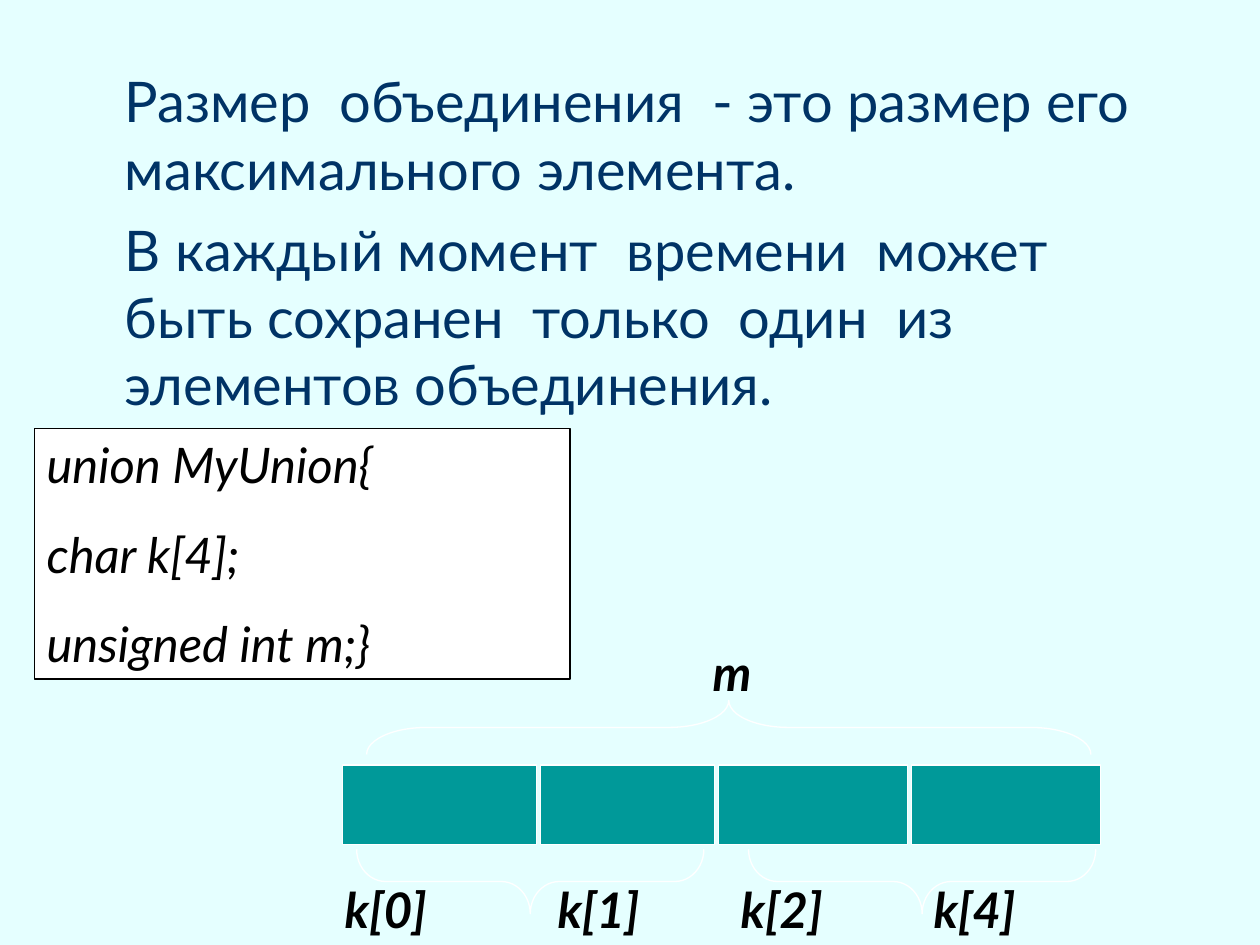
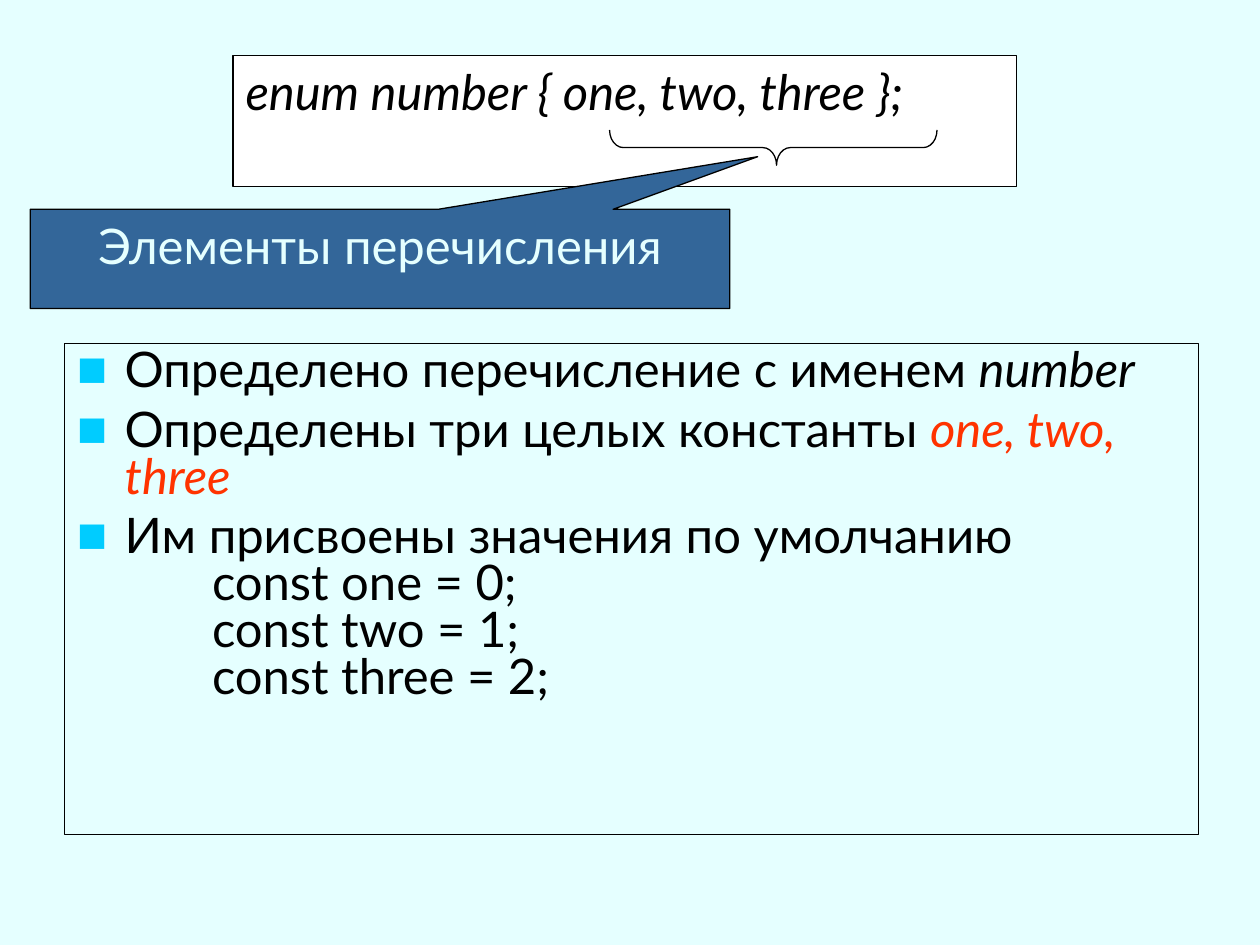
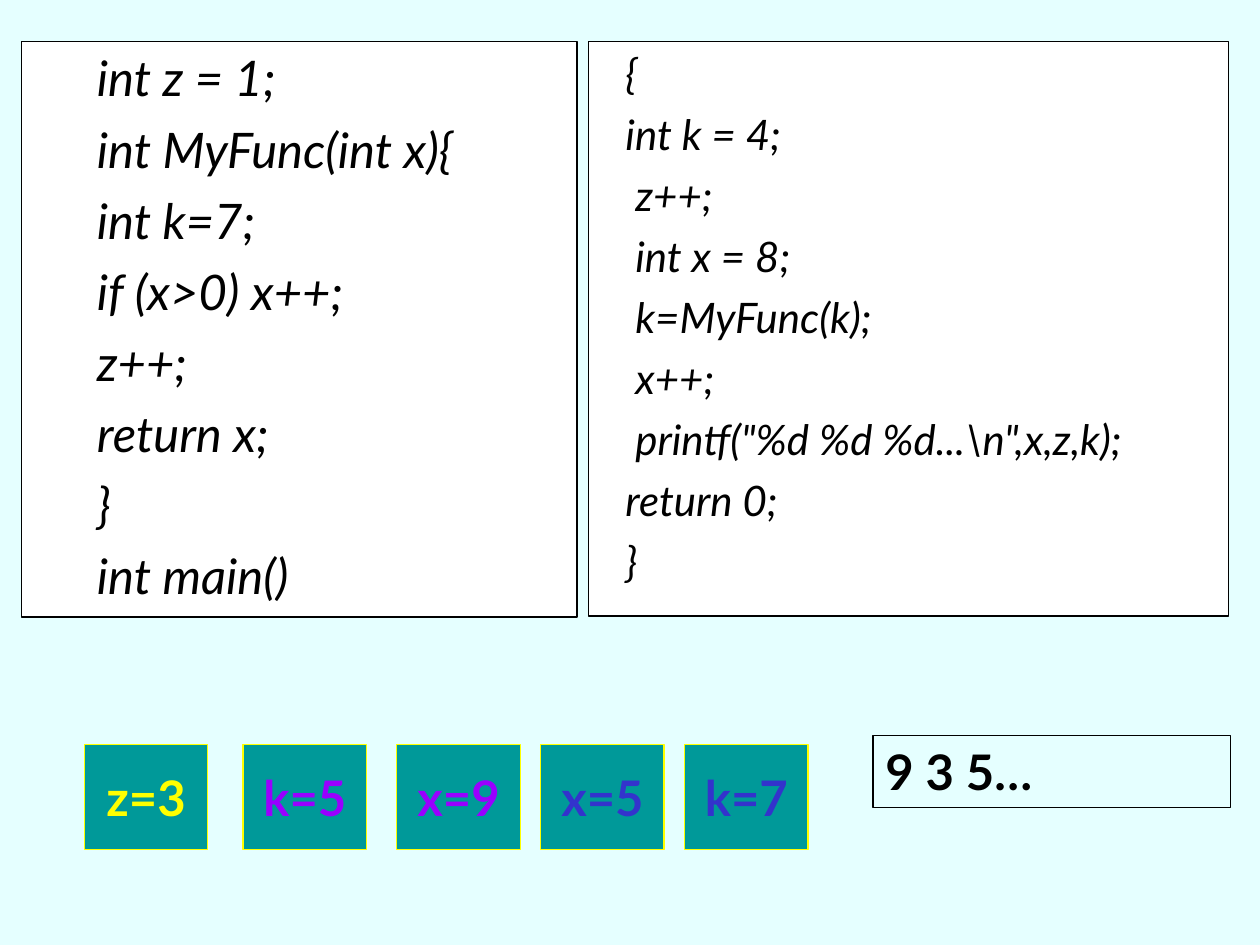
from collections import namedtuple

from pptx import Presentation
from pptx.dml.color import RGBColor
from pptx.enum.shapes import MSO_SHAPE
from pptx.enum.text import MSO_ANCHOR, MSO_AUTO_SIZE, PP_ALIGN
from pptx.oxml.xmlchemy import OxmlElement
from pptx.util import Cm, Pt

RECT = MSO_SHAPE.RECTANGLE
CALLOUT = MSO_SHAPE.RECTANGULAR_CALLOUT
BRACE = MSO_SHAPE.LEFT_BRACE
LEFT, CENTER = PP_ALIGN.LEFT, PP_ALIGN.CENTER
TOP, MIDDLE = MSO_ANCHOR.TOP, MSO_ANCHOR.MIDDLE
NO_AUTOFIT = MSO_AUTO_SIZE.NONE

PALE = RGBColor(0xE5, 0xFF, 0xFF)
NAVY = RGBColor(0x00, 0x33, 0x66)
STEEL = RGBColor(0x33, 0x66, 0x99)
TEAL = RGBColor(0x00, 0x99, 0x99)
CYAN = RGBColor(0x00, 0xCC, 0xFF)
RED = RGBColor(0xFF, 0x33, 0x00)
YELLOW = RGBColor(0xFF, 0xFF, 0x00)
VIOLET = RGBColor(0x99, 0x00, 0xFF)
BLUE = RGBColor(0x33, 0x33, 0xCC)
BLACK = RGBColor(0, 0, 0)
WHITE = RGBColor(0xFF, 0xFF, 0xFF)

FONT = "Lato"
LINE_WIDTH = Pt(0.75)
LABEL_HEIGHT = 1.45

# All boxes are in centimetres.
Box = namedtuple("Box", "left top width height")
Style = namedtuple("Style", "size color bold italic", defaults=(28, BLACK, False, False))

PLAIN = Style()
CODE = Style(italic=True)
LABEL = Style(bold=True, italic=True)


def lengths(box):
    return [Cm(value) for value in box]


def add_run(p, text, style):
    r = p.add_run()
    r.text = text
    r.font.name = FONT
    r.font.size = Pt(style.size)
    r.font.color.rgb = style.color
    r.font.bold = style.bold
    r.font.italic = style.italic


def set_bullet(p, color):
    """Give the paragraph a square bullet, or none when color is None."""
    pPr = p._p.get_or_add_pPr()
    if color is None:
        pPr.append(OxmlElement("a:buNone"))
        return
    parts = (("a:buSzPct", "val", "65000"), ("a:buFont", "typeface", FONT),
             ("a:buChar", "char", "■"))
    clr = OxmlElement("a:buClr")
    rgb = OxmlElement("a:srgbClr")
    rgb.set("val", str(color))
    clr.append(rgb)
    pPr.append(clr)
    for tag, name, value in parts:
        element = OxmlElement(tag)
        element.set(name, value)
        pPr.append(element)


def set_indent(p, margin, first=0):
    pPr = p._p.get_or_add_pPr()
    pPr.set("marL", str(Cm(margin)))
    pPr.set("indent", str(Cm(first)))


def next_paragraph(tf, before):
    """Return the empty first paragraph, or a new one spaced from the last."""
    p = tf.paragraphs[0]
    if p.runs:
        p = tf.add_paragraph()
        p.space_before = Pt(before)
    else:
        p.space_before = Pt(0)
    return p


def write_lines(tf, lines, style, before=0, align=LEFT, margin=0):
    for line in lines:
        p = next_paragraph(tf, before)
        p.alignment = align
        set_indent(p, margin)
        set_bullet(p, None)
        add_run(p, line, style)


def paint(sp, fill, line):
    if fill is None:
        sp.fill.background()
    else:
        sp.fill.solid()
        sp.fill.fore_color.rgb = fill
    sp.line.color.rgb = line
    sp.line.width = LINE_WIDTH


def add_panel(slide, box, fill, line, shape=RECT, anchor=TOP):
    sp = slide.shapes.add_shape(shape, *lengths(box))
    sp.shadow.inherit = False
    paint(sp, fill, line)
    sp.text_frame.word_wrap = True
    sp.text_frame.vertical_anchor = anchor
    return sp


def add_label(slide, box, text, align=LEFT):
    tf = slide.shapes.add_textbox(*lengths(box)).text_frame
    tf.word_wrap = True
    write_lines(tf, [text], LABEL, align=align)


def add_brace(slide, box, line, curve, up=False, tip=0.5):
    """Lay a horizontal brace in box, its tip up or down."""
    x = box.left + (box.width - box.height) / 2
    y = box.top + (box.height - box.width) / 2
    sp = add_panel(slide, Box(x, y, box.height, box.width), None, line, BRACE)
    sp.rotation = 90 if up else 270
    sp.adjustments[0] = curve
    sp.adjustments[1] = tip


def add_body_slide(prs, box):
    """Add a slide with only a body placeholder; return slide and body."""
    slide = prs.slides.add_slide(prs.slide_layouts[1])
    title = slide.shapes.title._element
    title.getparent().remove(title)
    body = slide.placeholders[1]
    body.left, body.top, body.width, body.height = lengths(box)
    body.text_frame.auto_size = NO_AUTOFIT
    body.text_frame.vertical_anchor = TOP
    return slide, body


def memory_diagram(slide, box):
    """Draw the bytes shared by m and k, with braces and labels."""
    x, y = box.left, box.top
    add_brace(slide, Box(x + 0.49, y + 1.29, 14.6, 1.09), WHITE, 1.11, up=True)
    for offset in (0.29, 8.19):
        add_brace(slide, Box(x + offset, y + 4.29, 7, 1.3), WHITE, 0.45)
    add_label(slide, Box(x + 6.41, y, 2.9, LABEL_HEIGHT), "m", CENTER)
    cells = (("k[0]", 3.91, -0.2), ("k[1]", 3.51, 0.1),
             ("k[2]", 3.81, 0.2), ("k[4]", 3.81, 0.2))
    for name, width, shift in cells:
        add_panel(slide, Box(x, y + 2.59, width, 1.6), TEAL, WHITE)
        add_label(slide, Box(x + shift, y + box.height - LABEL_HEIGHT,
                             3.5, LABEL_HEIGHT), name)
        x += width + 0.08


def union_slide(prs):
    slide, body = add_body_slide(prs, Box(1.3, 1.22, 22.86, 15.7))
    write_lines(body.text_frame, [
        "Размер  объединения  - это размер его максимального элемента.",
        "В каждый момент  времени  может  быть сохранен  только  один  из "
        "элементов объединения.",
    ], Style(32, NAVY), before=8, margin=0.96)
    code = add_panel(slide, Box(0.69, 8.64, 10.8, 5.05), WHITE, BLACK)
    write_lines(code.text_frame, ["union MyUnion{", "char k[4];", "unsigned int m;}"],
                CODE, before=17.5)
    memory_diagram(slide, Box(6.9, 12.83, 15.3, 6.22))


def enum_list(body):
    paint(body, None, BLACK)
    tf = body.text_frame
    items = (
        [("Определено перечисление с именем ", PLAIN), ("number", CODE)],
        [("Определены три целых константы ", PLAIN),
         ("one, two, three", CODE._replace(color=RED))],
        [("Им присвоены значения по умолчанию", PLAIN)],
    )
    for item in items:
        p = next_paragraph(tf, 7)
        set_indent(p, 0.96, -0.96)
        set_bullet(p, CYAN)
        for text, style in item:
            add_run(p, text, style)
    write_lines(tf, ["const one = 0;", "const two = 1;", "const three = 2;"],
                PLAIN, margin=2.72)
    for p in tf.paragraphs:
        p.line_spacing = 0.8


def enum_declaration(slide, box):
    """Show the declaration, its brace and the callout below."""
    x, y = box.left, box.top
    code = add_panel(slide, box, WHITE, BLACK)
    write_lines(code.text_frame, ["enum number { one, two, three };"], CODE)
    callout = add_panel(slide, Box(x - 4.09, y + 3.1, 14.1, 2), STEEL, BLACK, CALLOUT)
    callout.adjustments[0] = 0.54
    callout.adjustments[1] = -1.03
    write_lines(callout.text_frame, ["Элементы перечисления"],
                Style(color=PALE), align=CENTER)
    add_brace(slide, Box(x + 7.59, y + 1.5, 6.6, 0.71), BLACK, 0.39, tip=0.51)


def enum_slide(prs):
    slide, body = add_body_slide(prs, Box(1.3, 6.93, 22.86, 9.9))
    enum_list(body)
    enum_declaration(slide, Box(4.7, 1.12, 15.8, 2.64))


def variable_cells(slide, box):
    """Place one square per variable, coloured by its scope."""
    cells = ((0, "z=3", YELLOW), (3.2, "k=5", VIOLET), (6.3, "x=9", VIOLET),
             (9.2, "x=5", BLUE), (12.1, "k=7", BLUE))
    for offset, text, color in cells:
        cell = add_panel(slide, Box(box.left + offset, box.top, 2.49, box.height),
                         TEAL, YELLOW, anchor=MIDDLE)
        cell.text_frame.word_wrap = False
        write_lines(cell.text_frame, [text], Style(color=color, bold=True), align=CENTER)


def scope_slide(prs):
    slide, body = add_body_slide(prs, Box(0.43, 0.84, 11.2, 11.6))
    paint(body, WHITE, BLACK)
    write_lines(body.text_frame, [
        "int z = 1;", "int MyFunc(int x){", "int k=7;", "if (x>0) x++;",
        "z++;", "return x;", "}", "int main()",
    ], CODE, before=7, margin=1.27)
    main_code = add_panel(slide, Box(11.86, 0.84, 12.9, 11.58), WHITE, BLACK)
    write_lines(main_code.text_frame, [
        "{", "int k = 4;", " z++;", " int x = 8;", " k=MyFunc(k);", " x++;",
        ' printf("%d %d %d...\\n",x,z,k);', "return 0;", "}",
    ], CODE._replace(size=24), before=6, margin=0.5)
    variable_cells(slide, Box(1.7, 15.01, 14.59, 2.11))
    output = add_panel(slide, Box(17.6, 14.83, 7.21, LABEL_HEIGHT), PALE, BLACK)
    write_lines(output.text_frame, ["9 3 5…"], Style(bold=True))


def main():
    prs = Presentation()
    prs.slide_width, prs.slide_height = Cm(25.4), Cm(19.05)
    background = prs.slide_master.background.fill
    background.solid()
    background.fore_color.rgb = PALE
    union_slide(prs)
    enum_slide(prs)
    scope_slide(prs)
    prs.save("out.pptx")


if __name__ == "__main__":
    main()
